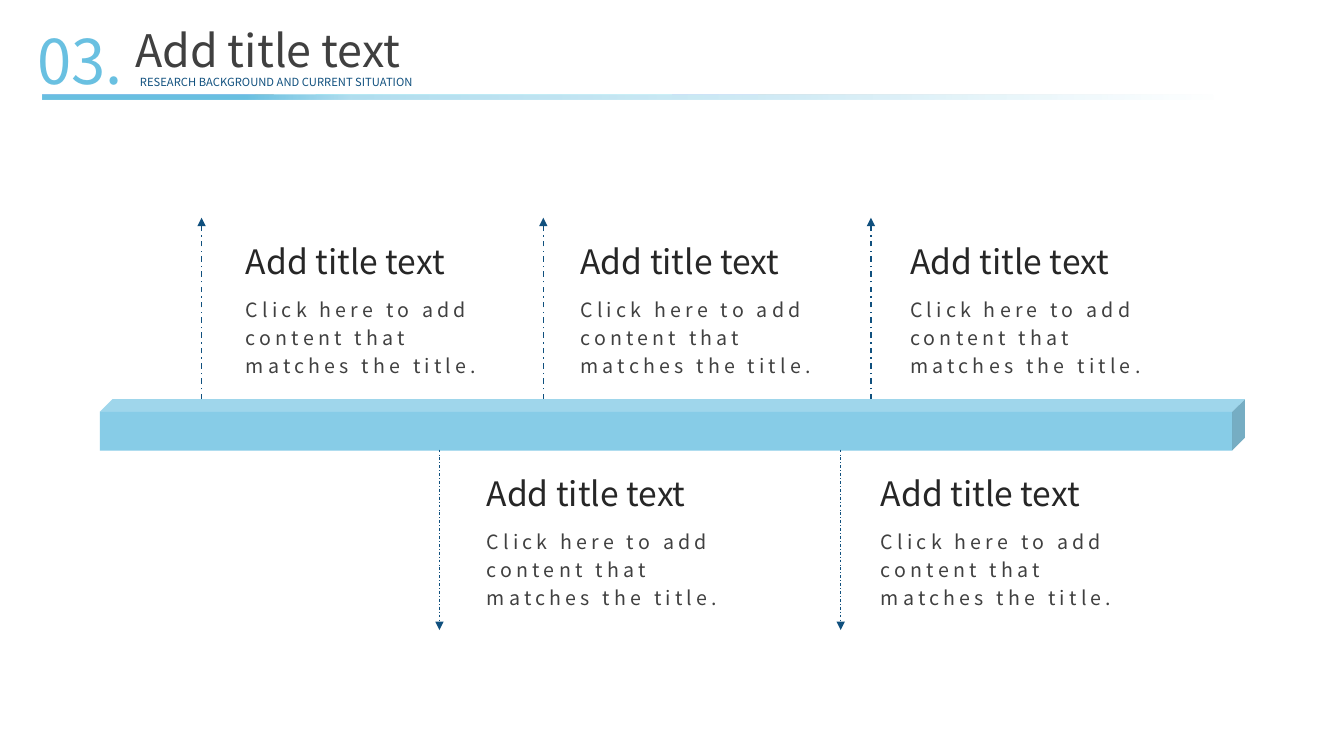
from lxml import etree
from pptx import Presentation
from pptx.dml.color import RGBColor
from pptx.enum.dml import MSO_LINE
from pptx.enum.shapes import MSO_CONNECTOR, MSO_SHAPE
from pptx.enum.text import MSO_ANCHOR, PP_ALIGN
from pptx.oxml import parse_xml
from pptx.oxml.ns import nsdecls, qn
from pptx.util import Inches, Pt

DASH = MSO_LINE.DASH_DOT
LINE = MSO_CONNECTOR.STRAIGHT
RECT, CUBE = MSO_SHAPE.RECTANGLE, MSO_SHAPE.CUBE
TOP, LEFT, FULL = MSO_ANCHOR.TOP, PP_ALIGN.LEFT, PP_ALIGN.JUSTIFY

THEME = {
    "font": "Noto Sans CJK SC",
    "sky": "69C0E1",
    "navy": "10507E",
    "title": {"size": 32, "color": "404040"},
    "number": {"size": 44, "color": "69C0E1"},
    "sub": {"size": 8, "color": "10507E"},
    "head": {"size": 24, "color": "262626"},
    "body": {"size": 14, "color": "404040"},
}
CELL = Inches(0.1)  # the slide is a grid of 133.33 columns and 75 rows


def grid(*cells):
    return [round(n * CELL) for n in cells]


def write(box, area, text, style, align=LEFT):
    """Place a box on the grid and fill it with one styled paragraph."""
    box.left, box.top, box.width, box.height = grid(*area)
    frame = box.text_frame
    for key, value in {"word_wrap": True, "vertical_anchor": TOP}.items():
        setattr(frame, key, value)
    para = frame.paragraphs[0]
    para.alignment = align
    run = para.add_run()
    run.text = text
    look = THEME[style]
    for key, value in {"name": THEME["font"], "size": Pt(look["size"])}.items():
        setattr(run.font, key, value)
    run.font.color.rgb = RGBColor.from_string(look["color"])
    return para


deck = Presentation()
deck.slide_width, deck.slide_height = grid(133.33, 75)
slide = deck.slides.add_slide(deck.slide_layouts[5])
shapes = slide.shapes

# Header
write(shapes.title, (12.4, 1.8, 39.7, 6.4), "Add title text", "title", FULL)
for area, text, style, align in (
    ((2.7, 1.8, 11, 8.4), "03.", "number", LEFT),
    ((12.9, 7, 43, 2.4), "RESEARCH BACKGROUND AND CURRENT SITUATION", "sub", FULL),
):
    write(shapes.add_textbox(0, 0, 0, 0), area, text, style, align)

# Header rule and timeline bar
rule = shapes.add_shape(RECT, *grid(4.2, 9.4, 117.6, 0.5))
bar = shapes.add_shape(CUBE, *grid(9.9, 39.6, 113.6, 5.1))
for shape in (rule, bar):
    shape.shadow.inherit = False
    shape.line.fill.background()
    shape.fill.solid()
    shape.fill.fore_color.rgb = RGBColor.from_string(THEME["sky"])

tint = bar._element.spPr.find(qn("a:solidFill"))[0]
etree.SubElement(tint, qn("a:alpha"), val="80000")

stops = "".join(
    f'<a:gs pos="{pos * 1000}"><a:srgbClr val="{THEME["sky"]}">'
    f'<a:alpha val="{alpha * 1000}"/></a:srgbClr></a:gs>'
    for pos, alpha in ((1, 0), (37, 30), (74, 52), (83, 100), (100, 100))
)
fade = parse_xml(
    f'<a:gradFill {nsdecls("a")} rotWithShape="1"><a:gsLst>{stops}</a:gsLst>'
    '<a:lin ang="10800000" scaled="0"/></a:gradFill>'
)
props = rule._element.spPr
props.replace(props.find(qn("a:solidFill")), fade)

# Timeline arrows and notes: start, tip and text rows, line weight, columns
SIDES = (
    (39.6, 21.6, 23.4, 1, ((20, 23.4), (53.9, 56.6), (86.4, 89.3))),
    (44.6, 62.5, 46.4, 0.5, ((43.6, 47.3), (83.4, 86.4))),
)
for start, tip, row, weight, cols in SIDES:
    for stem, col in cols:
        arrow = shapes.add_connector(LINE, *grid(stem, start, stem, tip))
        arrow.line.color.rgb = RGBColor.from_string(THEME["navy"])
        for key, value in {"width": Pt(weight), "dash_style": DASH}.items():
            setattr(arrow.line, key, value)
        etree.SubElement(arrow.line._ln, qn("a:tailEnd"), type="triangle")
        etree.SubElement(arrow._element.spPr, qn("a:effectLst"))

        head = shapes.add_textbox(0, 0, 0, 0)
        write(head, (col, row, 26.8, 5), "Add title text", "head")
        body = shapes.add_textbox(0, 0, 0, 0)
        para = write(body, (col, row + 5.2, 27, 9.4),
                     "Click here to add content that matches the title.", "body")
        para.line_spacing = Pt(20)
        para.runs[0].font._element.set("spc", "300")

deck.save("out.pptx")
